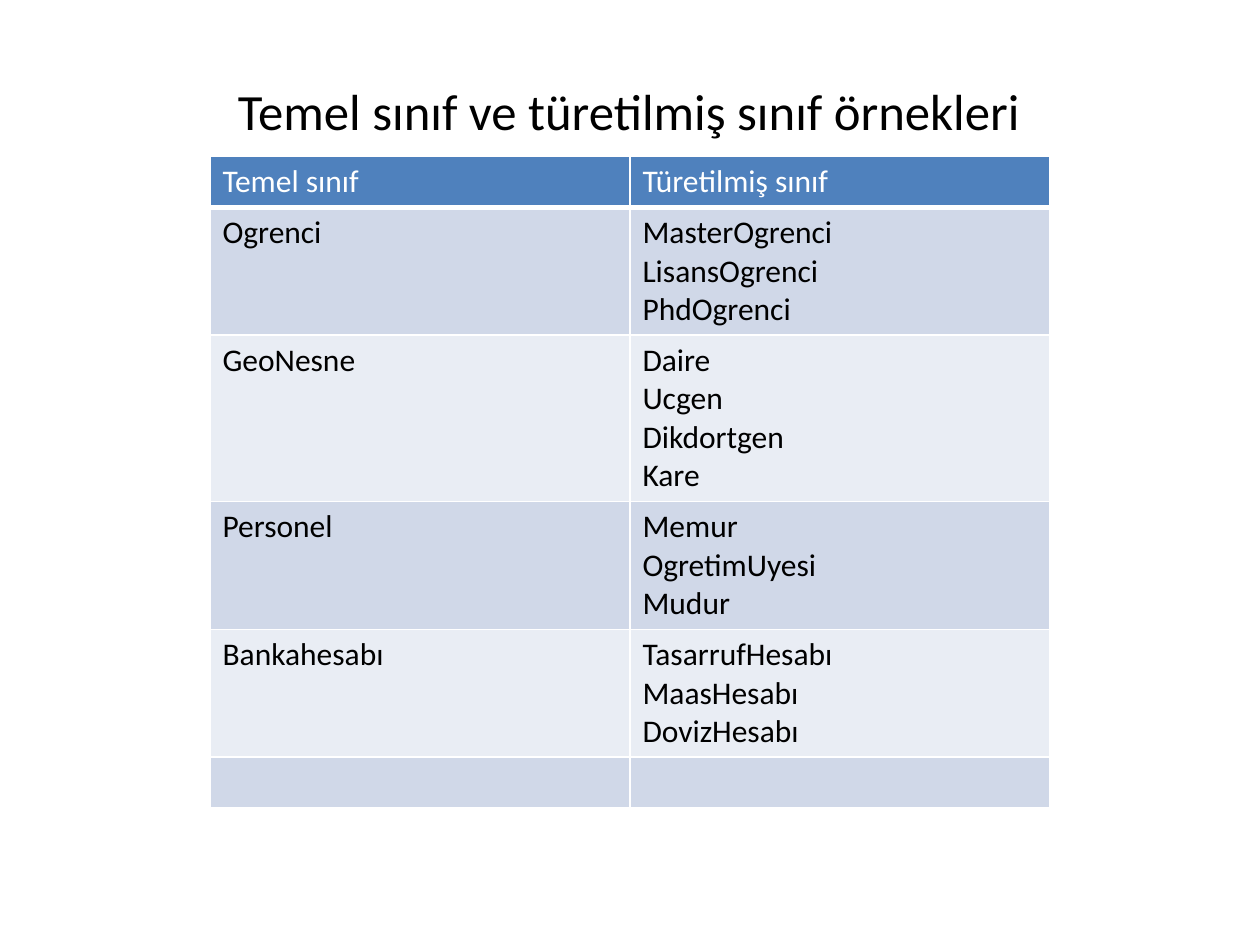
from dataclasses import dataclass

from lxml import etree
from pptx import Presentation
from pptx import util as u
from pptx.dml.color import RGBColor
from pptx.enum import text
from pptx.oxml import ns


@dataclass(frozen=True)
class Theme:
    font: str = "Calibri"
    title_size: float = 29
    body_size: float = 18
    dark: str = "000000"
    light: str = "FFFFFF"
    header: str = "4F81BD"
    bands: tuple[str, str] = ("D0D8E8", "E9EDF4")
    border: float = 1
    header_border: float = 3


@dataclass(frozen=True)
class ClassFamily:
    base: str = ""
    derived: tuple[str, ...] = ("",)


THEME = Theme()
WIDTH, HEIGHT = u.Inches(10), u.Inches(7.5)
TABLE_TOP = u.Inches(1.24)
LINE_HEIGHT, CELL_PADDING = 0.305, 0.1
TITLE = "Temel sınıf ve türetilmiş sınıf örnekleri"
FAMILIES = [
    ClassFamily("Temel sınıf", ("Türetilmiş sınıf",)),
    ClassFamily("Ogrenci", ("MasterOgrenci", "LisansOgrenci", "PhdOgrenci")),
    ClassFamily("GeoNesne", ("Daire", "Ucgen", "Dikdortgen", "Kare")),
    ClassFamily("Personel", ("Memur", "OgretimUyesi", "Mudur")),
    ClassFamily("Bankahesabı", ("TasarrufHesabı", "MaasHesabı", "DovizHesabı")),
    ClassFamily(),
]


def write_lines(frame, lines: tuple[str, ...], size: float, color: str, alignment) -> None:
    frame.text = "\n".join(lines)
    font_format = {"name": THEME.font, "size": u.Pt(size), "bold": False}
    for paragraph in frame.paragraphs:
        paragraph.alignment = alignment
        for font in [paragraph.font, *(run.font for run in paragraph.runs)]:
            for name, value in font_format.items():
                setattr(font, name, value)
            font.color.rgb = RGBColor.from_string(color)


def add_borders(cell, bottom: float) -> None:
    properties = cell._tc.get_or_add_tcPr()
    widths = {"lnL": THEME.border, "lnR": THEME.border, "lnT": THEME.border, "lnB": bottom}
    for position, (tag, width) in enumerate(widths.items()):
        line = etree.Element(ns.qn(f"a:{tag}"), w=str(u.Pt(width)))
        fill = etree.SubElement(line, ns.qn("a:solidFill"))
        etree.SubElement(fill, ns.qn("a:srgbClr"), val=THEME.light)
        properties.insert(position, line)


def add_title(slide) -> None:
    box = slide.shapes.add_textbox(u.Inches(0.58), u.Inches(0.25), u.Inches(8.83), u.Inches(1.25))
    frame = box.text_frame
    frame_format = {"word_wrap": True, "vertical_anchor": text.MSO_ANCHOR.MIDDLE}
    for name, value in frame_format.items():
        setattr(frame, name, value)
    write_lines(frame, (TITLE,), THEME.title_size, THEME.dark, text.PP_ALIGN.CENTER)


def add_class_table(slide, families: list[ClassFamily]) -> None:
    heights = [u.Inches(CELL_PADDING + LINE_HEIGHT * len(family.derived)) for family in families]
    table = slide.shapes.add_table(
        len(families), 2, WIDTH // 6, TABLE_TOP, WIDTH * 2 // 3, sum(heights)
    ).table
    for index, (family, height) in enumerate(zip(families, heights)):
        table.rows[index].height = height
        is_header = index == 0
        fill = THEME.header if is_header else THEME.bands[(index - 1) % 2]
        color = THEME.light if is_header else THEME.dark
        bottom = THEME.header_border if is_header else THEME.border
        for column, lines in enumerate(((family.base,), family.derived)):
            cell = table.cell(index, column)
            cell.fill.solid()
            cell.fill.fore_color.rgb = RGBColor.from_string(fill)
            write_lines(cell.text_frame, lines, THEME.body_size, color, text.PP_ALIGN.LEFT)
            add_borders(cell, bottom)


def main() -> None:
    presentation = Presentation()
    presentation.slide_width, presentation.slide_height = WIDTH, HEIGHT
    slide = presentation.slides.add_slide(presentation.slide_layouts[6])
    add_title(slide)
    add_class_table(slide, FAMILIES)
    presentation.save("out.pptx")


if __name__ == "__main__":
    main()
